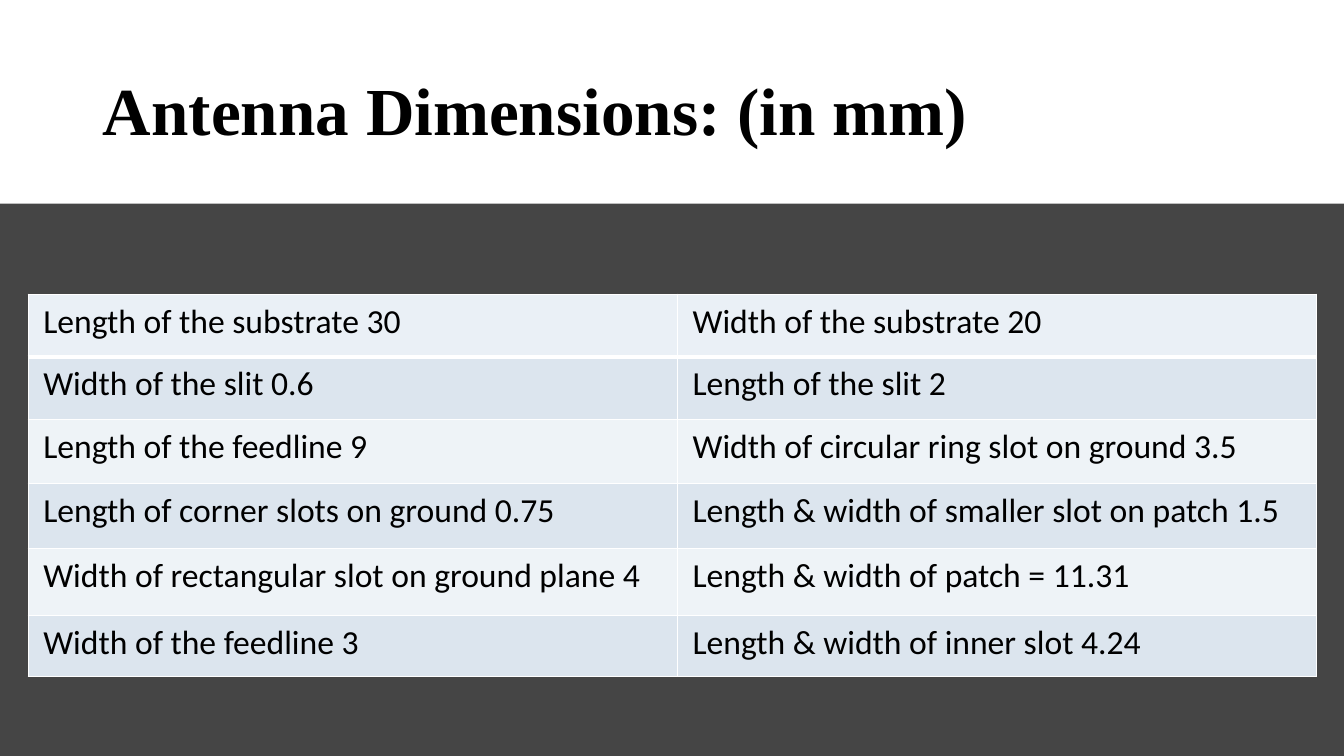
from dataclasses import dataclass

from lxml import etree
from pptx import Presentation
from pptx.dml.color import RGBColor
from pptx.enum.shapes import MSO_SHAPE
from pptx.enum.text import MSO_ANCHOR, MSO_AUTO_SIZE, PP_ALIGN
from pptx.oxml.ns import qn
from pptx.util import Inches, Pt

RECTANGLE = MSO_SHAPE.RECTANGLE
MIDDLE = MSO_ANCHOR.MIDDLE
NO_AUTOFIT = MSO_AUTO_SIZE.NONE
LEFT = PP_ALIGN.LEFT
TITLE_ONLY = 5


@dataclass(frozen=True)
class Theme:
    background: str = "454545"
    band: str = "FFFFFF"
    text: str = "000000"
    border: str = "FFFFFF"
    first_row: str = "EAF0F6"
    odd_row: str = "DCE5EE"
    even_row: str = "EEF3F7"
    title_font: str = "Times New Roman"
    table_font: str = "Calibri"
    title_size: int = 48
    table_size: int = 24
    thin: int = 1
    thick: int = 3


THEME = Theme()

DIMENSIONS = [
    ("Length of the substrate 30", "Width of the substrate 20"),
    ("Width of the slit 0.6", "Length of the slit 2"),
    ("Length of the feedline 9", "Width of circular ring slot on ground 3.5"),
    ("Length of corner slots on ground 0.75", "Length & width of smaller slot on patch 1.5"),
    ("Width of rectangular slot on ground plane 4", "Length & width of patch = 11.31"),
    ("Width of the feedline 3", "Length & width of inner slot 4.24"),
]
COLUMN_WIDTHS = [6.44, 6.34]
ROW_HEIGHTS = [0.62, 0.62, 0.64, 0.64, 0.67, 0.6]


def apply_format(target, values):
    for attribute, value in values.items():
        setattr(target, attribute, value)


def paint(fill, color):
    fill.solid()
    fill.fore_color.rgb = RGBColor.from_string(color)


def write(frame, text, font, size, bold=False):
    paragraph = frame.paragraphs[0]
    paragraph.alignment = LEFT
    run = paragraph.add_run()
    run.text = text
    apply_format(run.font, {"name": font, "size": Pt(size), "bold": bold})
    run.font.color.rgb = RGBColor.from_string(THEME.text)
    return paragraph


def add_title(slide, text):
    title = slide.shapes.title
    apply_format(title, {
        "left": Inches(0.92), "top": Inches(0.4),
        "width": Inches(11.5), "height": Inches(1.45),
    })
    frame = title.text_frame
    apply_format(frame, {
        "word_wrap": True, "auto_size": NO_AUTOFIT, "vertical_anchor": MIDDLE,
    })
    heading = write(frame, text, THEME.title_font, THEME.title_size, bold=True)
    heading.line_spacing = 0.9


def add_title_band(slide):
    band = slide.shapes.add_shape(
        RECTANGLE, Inches(0), Inches(-0.01), Inches(13.33), Inches(2.03))
    band.shadow.inherit = False
    paint(band.fill, THEME.band)
    band.line.fill.background()
    slide.shapes.title.element.addprevious(band.element)


def set_borders(cell, widths):
    properties = cell._tc.get_or_add_tcPr()
    for side, width in widths.items():
        border = etree.SubElement(properties, qn(f"a:ln{side}"), w=str(Pt(width)))
        solid = etree.SubElement(border, qn("a:solidFill"))
        etree.SubElement(solid, qn("a:srgbClr"), val=THEME.border)


def row_color(row):
    if row == 0:
        return THEME.first_row
    return THEME.odd_row if row % 2 else THEME.even_row


def fill_cell(cell, text, row):
    apply_format(cell, {
        "margin_left": Inches(0.15), "margin_right": Inches(0.15),
        "margin_top": Inches(0.07), "margin_bottom": Inches(0.07),
    })
    set_borders(cell, {
        "L": THEME.thin,
        "R": THEME.thin,
        "T": THEME.thick if row == 1 else THEME.thin,
        "B": THEME.thick if row == 0 else THEME.thin,
    })
    paint(cell.fill, row_color(row))
    write(cell.text_frame, text, THEME.table_font, THEME.table_size)


def add_dimension_table(slide):
    table = slide.shapes.add_table(
        len(DIMENSIONS), len(COLUMN_WIDTHS), Inches(0.28), Inches(2.92),
        Inches(sum(COLUMN_WIDTHS)), Inches(sum(ROW_HEIGHTS))).table
    apply_format(table, {"first_row": False, "horz_banding": False})
    for column, width in zip(table.columns, COLUMN_WIDTHS):
        column.width = Inches(width)
    for row, (height, entries) in enumerate(zip(ROW_HEIGHTS, DIMENSIONS)):
        table.rows[row].height = Inches(height)
        for column, text in enumerate(entries):
            fill_cell(table.cell(row, column), text, row)


def main():
    presentation = Presentation()
    apply_format(presentation, {
        "slide_width": Inches(13.33), "slide_height": Inches(7.5),
    })
    slide = presentation.slides.add_slide(presentation.slide_layouts[TITLE_ONLY])
    paint(slide.background.fill, THEME.background)
    add_title(slide, "Antenna Dimensions: (in mm)")
    add_title_band(slide)
    add_dimension_table(slide)
    presentation.save("out.pptx")


if __name__ == "__main__":
    main()
